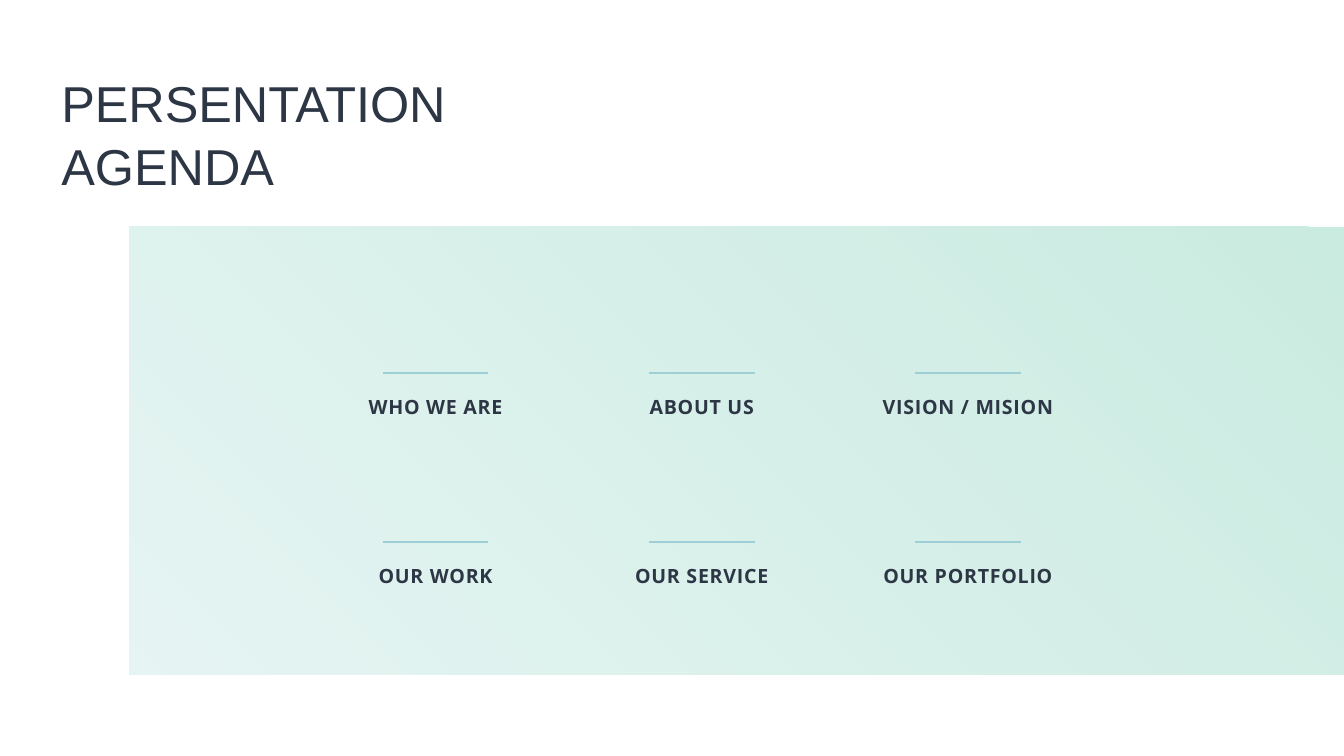
from lxml.etree import SubElement
from pptx import Presentation
from pptx.dml.color import RGBColor
from pptx.enum.shapes import MSO_CONNECTOR, MSO_SHAPE
from pptx.enum.text import MSO_AUTO_SIZE, PP_ALIGN
from pptx.oxml.ns import qn
from pptx.util import Inches, Pt

TITLE = "PERSENTATION AGENDA"
AGENDA = [
    ["WHO WE ARE", "ABOUT US", "VISION / MISION"],
    ["OUR WORK", "OUR SERVICE", "OUR PORTFOLIO"],
]
INK, RULE = "2D3645", "9FCFD6"
PANEL_COLOURS = ["50BE99", "ADDDDA"]
PANEL_OPACITY = 30

SLIDE_W, SLIDE_H = 13.33, 7.5
PANEL_LEFT, PANEL_TOP, PANEL_H = 1.28, 2.25, 4.44
FIRST_CENTRE, COLUMN_STEP = 4.32, 2.64
FIRST_RULE, ROW_STEP = 3.7, 1.68
RULE_W, LABEL_W, LABEL_H, LABEL_GAP = 1.05, 1.92, 0.34, 0.17

TITLE_FONT = {"size": Pt(36), "name": "Arial"}
LABEL_FONT = {"size": Pt(14), "name": "Open Sans", "bold": True}


def colour(hex_code):
    return RGBColor.from_string(hex_code)


def add_text(shapes, text, box, font_format):
    frame = shapes.add_textbox(*map(Inches, box)).text_frame
    frame.word_wrap = True
    frame.auto_size = MSO_AUTO_SIZE.SHAPE_TO_FIT_TEXT
    paragraph = frame.paragraphs[0]
    run = paragraph.add_run()
    run.text = text
    for attribute, value in font_format.items():
        setattr(run.font, attribute, value)
    run.font.color.rgb = colour(INK)
    return paragraph


def add_panel(shapes):
    panel = shapes.add_shape(
        MSO_SHAPE.RECTANGLE, Inches(PANEL_LEFT), Inches(PANEL_TOP),
        Inches(SLIDE_W - PANEL_LEFT), Inches(PANEL_H))
    panel.shadow.inherit = False
    panel.line.fill.background()
    panel.fill.gradient()
    panel.fill.gradient_angle = 225
    for stop, hex_code in zip(panel.fill.gradient_stops, PANEL_COLOURS):
        stop.color.rgb = colour(hex_code)
    for tint in panel._element.spPr.iter(qn("a:srgbClr")):
        SubElement(tint, qn("a:alpha"), val=str(PANEL_OPACITY * 1000))


def add_agenda_item(shapes, label, centre, rule_y):
    """Group a short rule with the label centred below it."""
    item = shapes.add_group_shape().shapes
    paragraph = add_text(
        item, label,
        (centre - LABEL_W / 2, rule_y + LABEL_GAP, LABEL_W, LABEL_H), LABEL_FONT)
    paragraph.alignment = PP_ALIGN.CENTER
    paragraph.runs[0].font._element.set("spc", "50")
    rule = item.add_connector(
        MSO_CONNECTOR.STRAIGHT, Inches(centre - RULE_W / 2), Inches(rule_y),
        Inches(centre + RULE_W / 2), Inches(rule_y))
    rule.line.color.rgb = colour(RULE)
    rule.line.width = Pt(1.25)
    SubElement(rule._element.spPr, qn("a:effectLst"))


def main():
    deck = Presentation()
    deck.slide_width, deck.slide_height = Inches(SLIDE_W), Inches(SLIDE_H)
    shapes = deck.slides.add_slide(deck.slide_layouts[6]).shapes
    add_panel(shapes)
    title = add_text(shapes, TITLE, (0.51, 0.64, 4.36, 1.31), TITLE_FONT)
    title.line_spacing = 1.04
    for row, labels in enumerate(AGENDA):
        for column, label in enumerate(labels):
            add_agenda_item(shapes, label, FIRST_CENTRE + column * COLUMN_STEP,
                            FIRST_RULE + row * ROW_STEP)
    deck.save("out.pptx")


if __name__ == "__main__":
    main()
